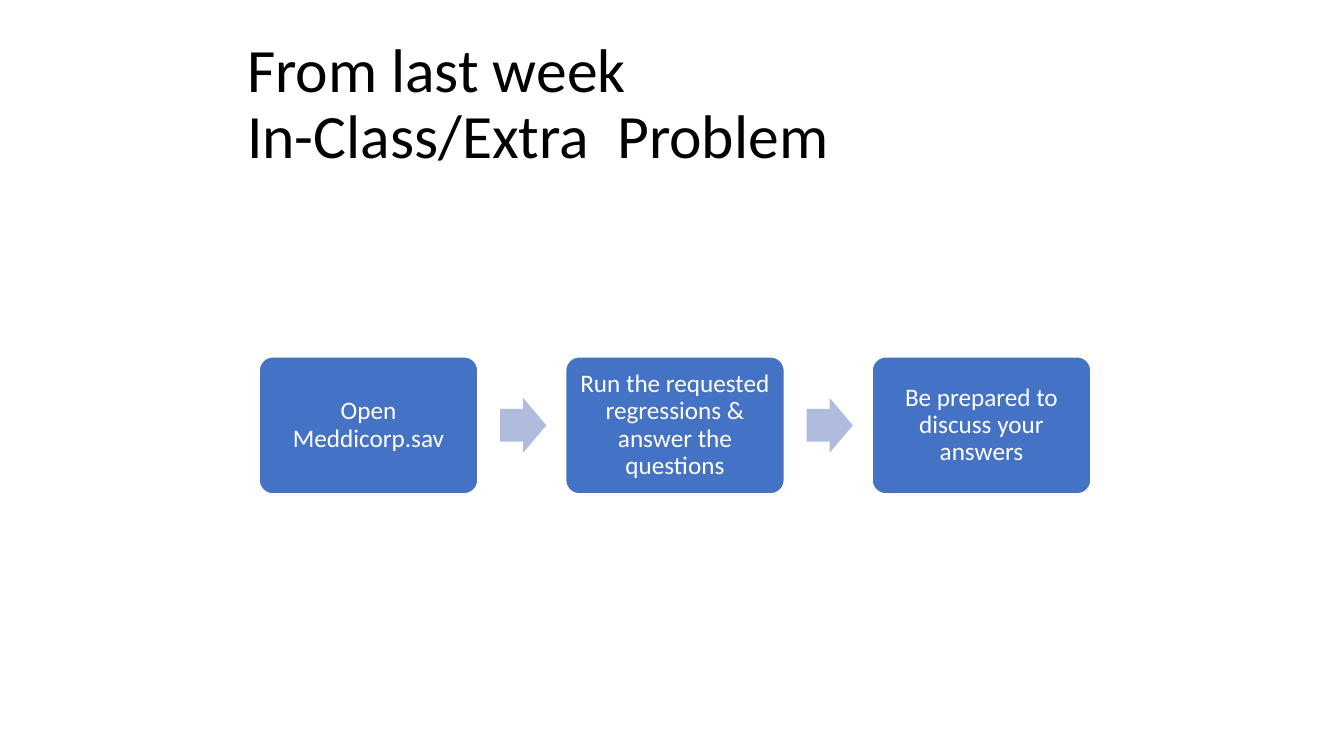
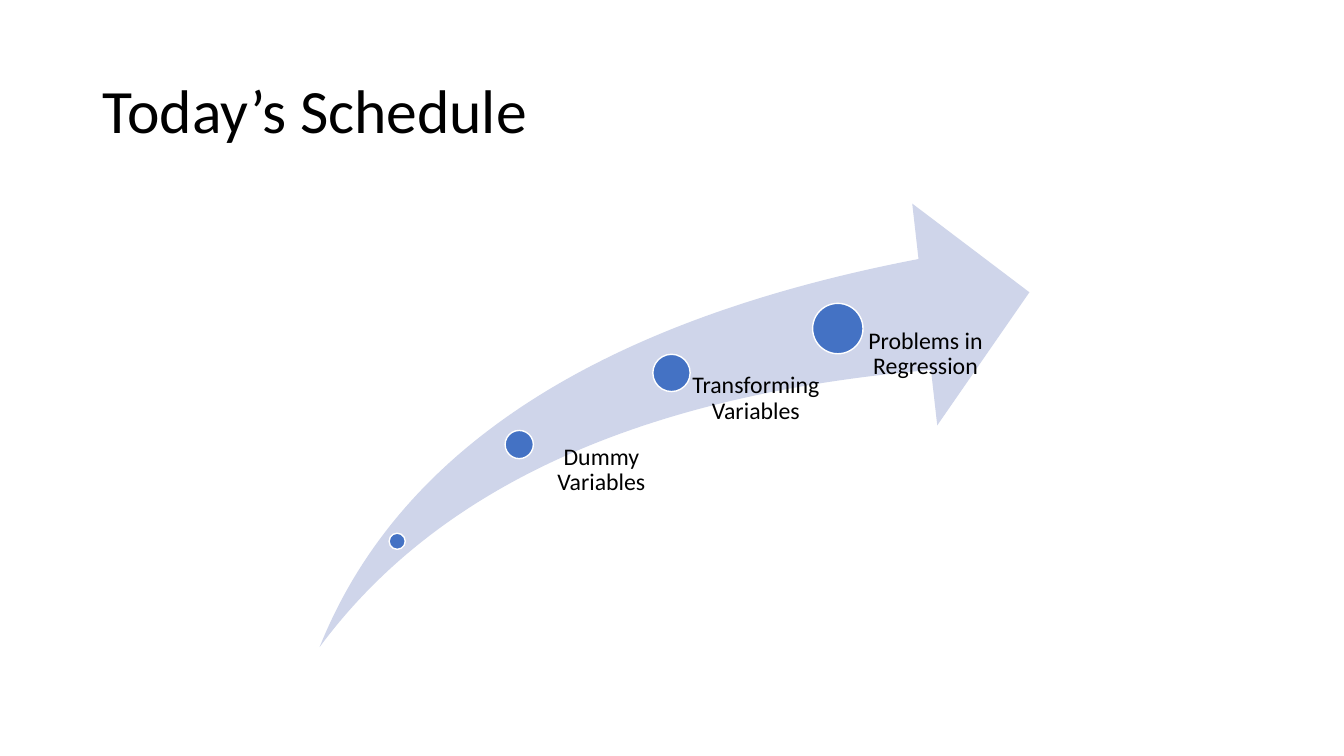
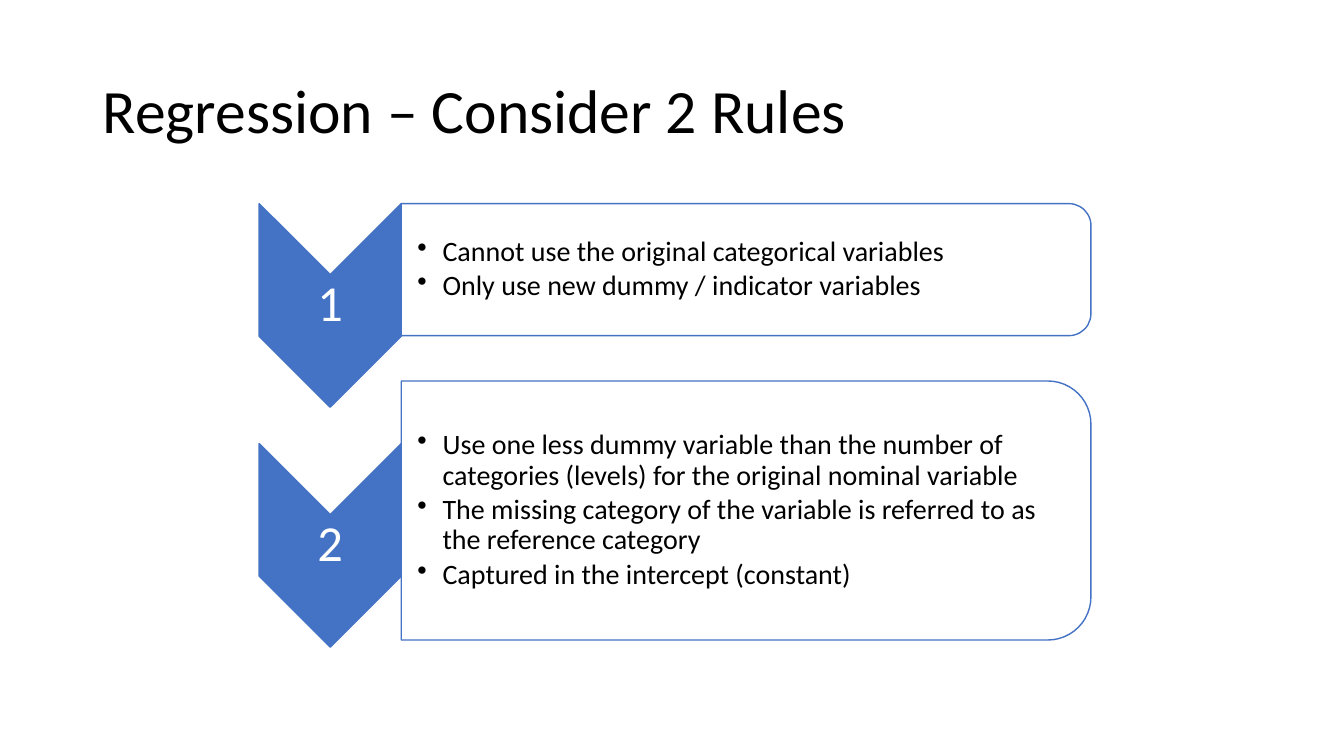
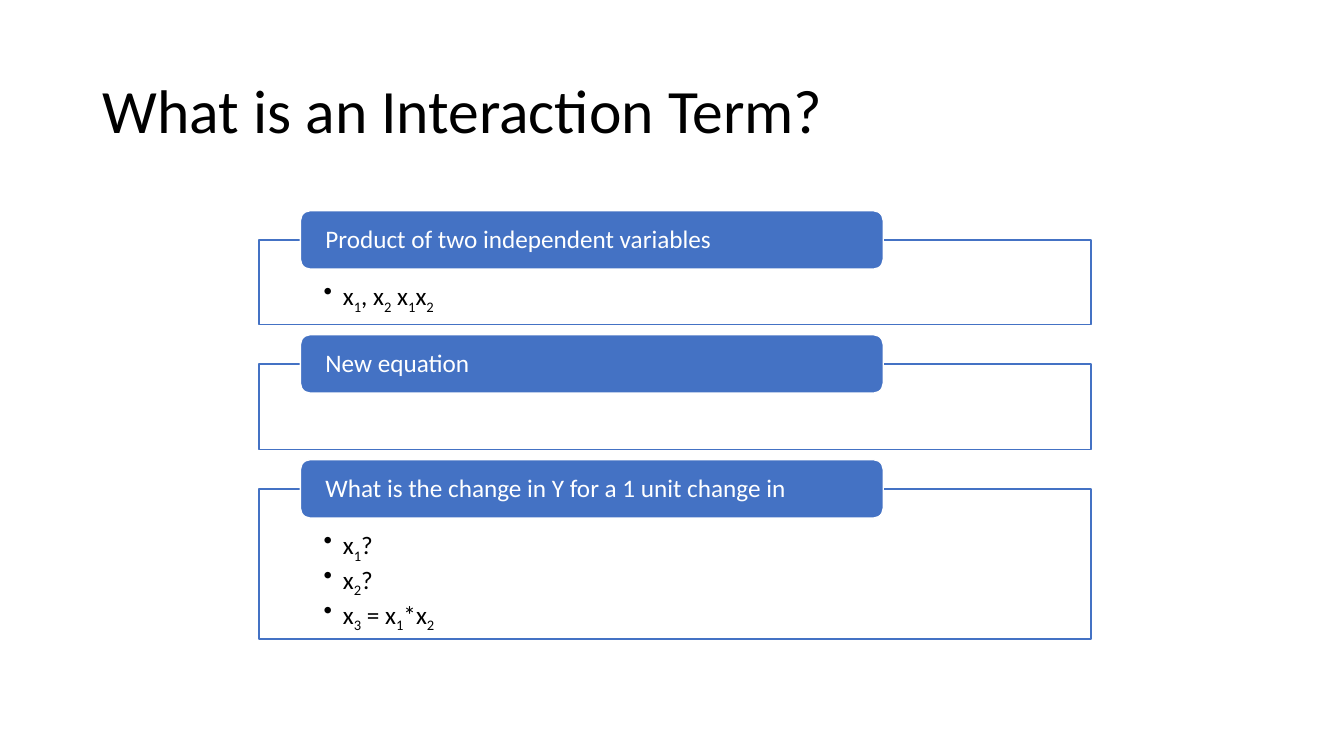
from dataclasses import dataclass

from lxml import etree
from pptx import Presentation
from pptx.dml.color import RGBColor
from pptx.enum.shapes import MSO_SHAPE as Preset
from pptx.enum.text import MSO_ANCHOR as Anchor, MSO_AUTO_SIZE as AutoSize, PP_ALIGN as Align
from pptx.oxml.ns import qn
from pptx.util import Inches, Pt


@dataclass(frozen=True)
class Theme:
    font: str = "Calibri"
    black: str = "000000"
    white: str = "FFFFFF"
    blue: str = "4472C4"
    arrow: str = "B0BCDE"
    swoosh: str = "CFD5EA"
    title_size: int = 44
    number_size: int = 36
    rule_size: int = 20
    body_size: int = 18
    label_size: int = 17
    line_width: float = 1
    line_spacing: float = 0.9


THEME = Theme()
TITLE_BOX = (0.92, 0.4, 11.5, 1.45)
FIRST_TITLE_BOX = (2.35, 0.32, 8.62, 1.45)

STEPS = [
    "Open Meddicorp.sav",
    "Run the requested regressions & answer the questions",
    "Be prepared to discuss your answers",
]
MILESTONES = [
    (3.94, 5.37, 0.16, ""),
    (5.15, 4.41, 0.28, "Dummy Variables"),
    (6.66, 3.7, 0.37, "Transforming Variables"),
    (8.31, 3.26, 0.5, "Problems in Regression"),
]
RULES = [
    (2.02, 2.02, 1.31, [
        "Cannot use the original categorical variables",
        "Only use new dummy / indicator variables",
    ]),
    (4.4, 3.78, 2.57, [
        "Use one less dummy variable than the number of categories (levels) "
        "for the original nominal variable",
        "The missing category of the variable is referred to as the reference category",
        "Captured in the intercept (constant)",
    ]),
]
SECTIONS = [
    ("Product of two independent variables", 0.84, ["x_1, x_2 x_1x_2"]),
    ("New equation", 0.85, []),
    ("What is the change in Y for a 1 unit change in", 1.49,
     ["x_1?", "x_2?", "x_3 = x_1*x_2"]),
]


def place(shape, box):
    shape.left, shape.top, shape.width, shape.height = map(Inches, box)


def add_shape(slide, preset, box, fill, line=None, adjustments=(), turned=False):
    left, top, width, height = box
    if turned:
        left, top = left + (width - height) / 2, top + (height - width) / 2
        width, height = height, width
    shape = slide.shapes.add_shape(preset, *map(Inches, (left, top, width, height)))
    shape.rotation = 90 if turned else 0
    shape.shadow.inherit = False
    shape.fill.solid()
    shape.fill.fore_color.rgb = RGBColor.from_string(fill)
    if line:
        shape.line.color.rgb = RGBColor.from_string(line)
        shape.line.width = Pt(THEME.line_width)
    else:
        shape.line.fill.background()
    for index, value in enumerate(adjustments):
        shape.adjustments[index] = value
    return shape


def add_bullet(paragraph, indent):
    properties = paragraph._p.get_or_add_pPr()
    properties.set("marL", str(Inches(indent)))
    properties.set("indent", str(-Inches(indent)))
    etree.SubElement(properties, qn("a:buChar")).set("char", "•")


def add_run(paragraph, text, size, color, subscript=False):
    run = paragraph.add_run()
    run.text = text
    run.font.name = THEME.font
    run.font.size = Pt(size)
    run.font.color.rgb = RGBColor.from_string(color)
    if subscript:
        run._r.get_or_add_rPr().set("baseline", "-25000")


def write(shape, lines, size, color, align=Align.LEFT, anchor=Anchor.MIDDLE,
          insets=(0, 0, 0, 0), bullet=None):
    frame = shape.text_frame
    frame.word_wrap = True
    frame.auto_size = AutoSize.NONE
    frame.vertical_anchor = anchor
    (frame.margin_left, frame.margin_top,
     frame.margin_right, frame.margin_bottom) = map(Inches, insets)
    for index, line in enumerate(lines):
        paragraph = frame.add_paragraph() if index else frame.paragraphs[0]
        paragraph.alignment = align
        paragraph.line_spacing = THEME.line_spacing
        if bullet:
            paragraph.space_after = Pt(size * 0.15)
            add_bullet(paragraph, bullet)
        plain, *marked = line.split("_")
        add_run(paragraph, plain, size, color)
        for part in marked:
            add_run(paragraph, part[0], size, color, subscript=True)
            if part[1:]:
                add_run(paragraph, part[1:], size, color)


def add_text(slide, box, lines, size, color, **style):
    write(slide.shapes.add_textbox(*map(Inches, box)), lines, size, color, **style)


def add_slide(presentation, title):
    slide = presentation.slides.add_slide(presentation.slide_layouts[5])
    frame = slide.shapes.title.text_frame
    frame.text = title
    frame.auto_size = AutoSize.NONE
    frame.vertical_anchor = Anchor.MIDDLE
    paragraph = frame.paragraphs[0]
    paragraph.alignment = Align.LEFT
    paragraph.line_spacing = THEME.line_spacing
    for run in paragraph.runs:
        run.font.name = THEME.font
        run.font.size = Pt(THEME.title_size)
        run.font.color.rgb = RGBColor.from_string(THEME.black)
    return slide


def build_steps(presentation):
    slide = add_slide(presentation, "From last week\vIn-Class/Extra  Problem")
    place(slide.shapes.title, FIRST_TITLE_BOX)
    left, top, width, height, pitch = 2.57, 3.54, 2.17, 1.36, 3.04
    arrow_width, arrow_height, arrow_gap = 0.46, 0.54, 0.22
    for index, step in enumerate(STEPS):
        x = left + index * pitch
        if index:
            arrow_box = (x - pitch + width + arrow_gap, top + (height - arrow_height) / 2,
                         arrow_width, arrow_height)
            add_shape(slide, Preset.RIGHT_ARROW, arrow_box, THEME.arrow, adjustments=(0.6, 0.5))
        card = add_shape(slide, Preset.ROUNDED_RECTANGLE, (x, top, width, height),
                         THEME.blue, THEME.white, (0.1,))
        write(card, [step], THEME.body_size, THEME.white, Align.CENTER, insets=(0.07,) * 4)


def build_schedule(presentation):
    slide = add_slide(presentation, "Today’s Schedule")
    left, top, width, height = swoosh_box = (3.17, 2.02, 7.04, 4.4)
    add_shape(slide, Preset.SWOOSH_ARROW, swoosh_box, THEME.swoosh, adjustments=(0.25, 0.25))
    for x, y, diameter, label in MILESTONES:
        radius = diameter / 2
        add_shape(slide, Preset.OVAL, (x - radius, y - radius, diameter, diameter),
                  THEME.blue, THEME.white)
        if label:
            add_text(slide, (x, y, 1.48, top + height - y), [label], THEME.label_size,
                     THEME.black, align=Align.CENTER, anchor=Anchor.TOP,
                     insets=(radius + 0.01, 0, 0, 0))


def build_rules(presentation):
    slide = add_slide(presentation, "Regression – Consider 2 Rules")
    left, chevron_width, chevron_height, panel_width = 2.57, 1.41, 2.02, 6.84
    for number, (chevron_top, panel_top, panel_height, points) in enumerate(RULES, 1):
        chevron_box = (left, chevron_top, chevron_width, chevron_height)
        panel_box = (left + chevron_width, panel_top, panel_width, panel_height)
        add_shape(slide, Preset.CHEVRON, chevron_box, THEME.blue, THEME.blue, (0.5,), turned=True)
        add_text(slide, chevron_box, [str(number)], THEME.number_size, THEME.white,
                 align=Align.CENTER)
        add_shape(slide, Preset.ROUND_2_SAME_RECTANGLE, panel_box, THEME.white, THEME.blue,
                  turned=True)
        add_text(slide, panel_box, points, THEME.rule_size, THEME.black,
                 insets=(0.16, 0.01, 0.13, 0.01), bullet=0.25)


def build_interaction(presentation):
    slide = add_slide(presentation, "What is an Interaction Term?")
    left, top, width, gap = 2.57, 2.09, 8.25, 0.1
    header_left, header_width, header_height = 2.98, 5.78, 0.58
    for heading, height, points in SECTIONS:
        panel_top = top + header_height / 2
        panel = add_shape(slide, Preset.RECTANGLE, (left, panel_top, width, height),
                          THEME.white, THEME.blue)
        if points:
            write(panel, points, THEME.body_size, THEME.black, anchor=Anchor.TOP,
                  insets=(0.64, 0.41, 0.64, 0.14), bullet=0.19)
        header = add_shape(slide, Preset.ROUNDED_RECTANGLE,
                           (header_left, top, header_width, header_height),
                           THEME.blue, THEME.white)
        write(header, [heading], THEME.body_size, THEME.white, insets=(0.22, 0, 0.22, 0))
        top = panel_top + height + gap


def main():
    presentation = Presentation()
    presentation.slide_width, presentation.slide_height = Inches(13.33), Inches(7.5)
    place(presentation.slide_layouts[5].placeholders[0], TITLE_BOX)
    for build in (build_steps, build_schedule, build_rules, build_interaction):
        build(presentation)
    presentation.save("out.pptx")


if __name__ == "__main__":
    main()
